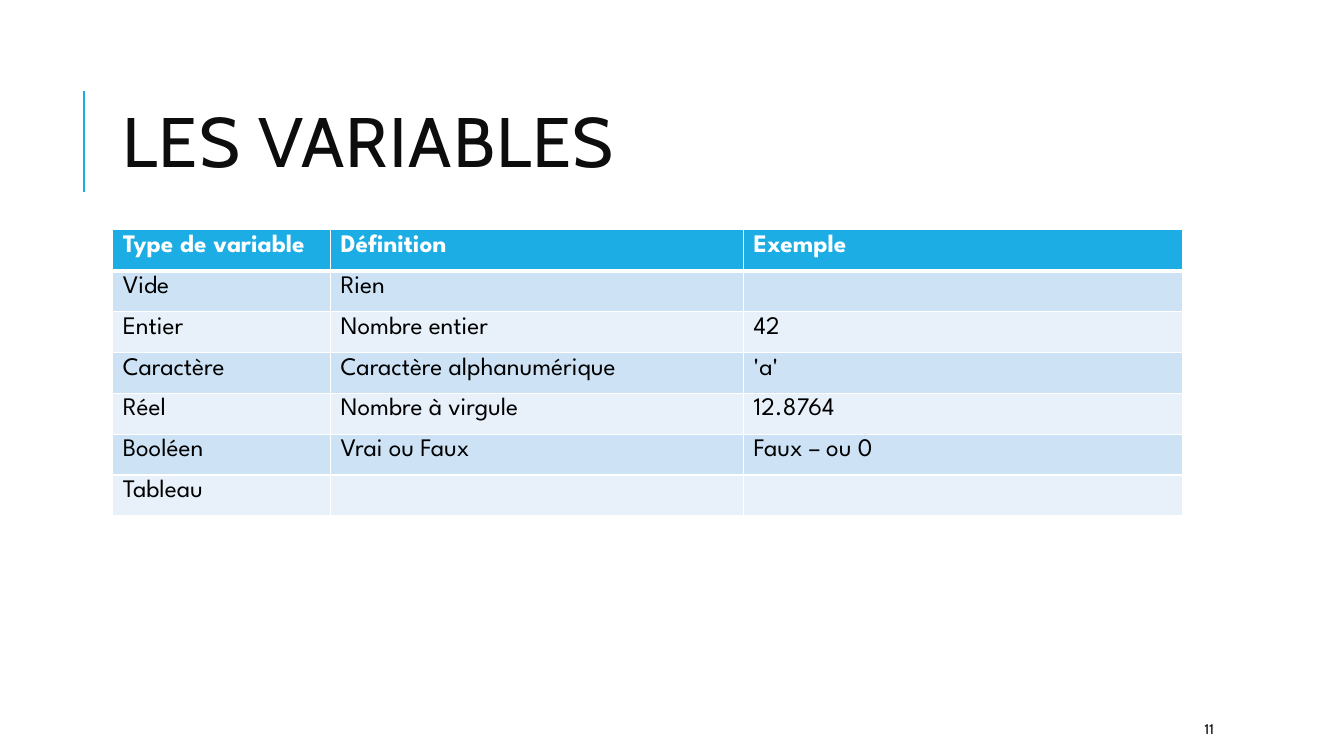
import dataclasses

import lxml.etree
import pptx
import pptx.dml.color
import pptx.enum.shapes
import pptx.enum.text
import pptx.oxml.ns
import pptx.util

Cm = pptx.util.Cm
Pt = pptx.util.Pt


@dataclasses.dataclass(frozen=True)
class Theme:
    """Colours, fonts and type sizes of the slide."""
    accent: str = "1CADE4"
    bands: tuple = ("CDE3F5", "E8F1FA")
    white: str = "FFFFFF"
    black: str = "000000"
    ink: str = "0D0D0D"
    heading_font: str = "Cabin"
    body_font: str = "League Spartan"
    title_size: int = 50
    body_size: int = 18
    number_size: int = 10


THEME = Theme()
TABLE_LEFT = 2.84
COLUMN_WIDTHS = (5.49, 10.41, 11.07)
ROW_HEIGHT = 1.03
ROWS = (
    ("Type de variable", "Définition", "Exemple"),
    ("Vide", "Rien", ""),
    ("Entier", "Nombre entier", "42"),
    ("Caractère", "Caractère alphanumérique", "'a'"),
    ("Réel", "Nombre à virgule", "12.8764"),
    ("Booléen", "Vrai ou Faux", "Faux – ou 0"),
    ("Tableau", "", ""),
)


def rgb(value):
    """Turn a hexadecimal string into a colour."""
    return pptx.dml.color.RGBColor.from_string(value)


def write_text(paragraph, text, color, **formats):
    """Add one formatted run to a paragraph and return it."""
    run = paragraph.add_run()
    run.text = text
    for name, value in formats.items():
        setattr(run.font, name, value)
    run.font.color.rgb = rgb(color)
    return run


def add_text(slide, box, text, size):
    """Add a vertically centred heading-font text box."""
    frame = slide.shapes.add_textbox(*map(Cm, box)).text_frame
    frame.word_wrap = True
    frame.vertical_anchor = pptx.enum.text.MSO_ANCHOR.MIDDLE
    paragraph = frame.paragraphs[0]
    run = write_text(paragraph, text, THEME.ink, name=THEME.heading_font, size=Pt(size))
    return paragraph, run


def add_title(slide, text):
    """Add the title with tight lines and slightly open letters."""
    paragraph, run = add_text(slide, (TABLE_LEFT, 1.63, 27, 4.17), text, THEME.title_size)
    paragraph.line_spacing = 0.8
    run.font._element.set("spc", "100")


def add_title_rule(slide):
    """Add the vertical accent line beside the title."""
    line = slide.shapes.add_connector(
        pptx.enum.shapes.MSO_CONNECTOR.STRAIGHT, Cm(2.11), Cm(4.83), Cm(2.11), Cm(2.29))
    line.line.color.rgb = rgb(THEME.accent)
    line.line.width = Pt(1.5)
    properties = line._element.spPr
    lxml.etree.SubElement(properties, pptx.oxml.ns.qn("a:effectLst"))


def set_borders(cell, widths):
    """Draw white cell borders with a width in points for each side."""
    qn = pptx.oxml.ns.qn
    properties = cell._tc.get_or_add_tcPr()
    for side, width in widths.items():
        border = lxml.etree.SubElement(properties, qn(f"a:ln{side}"), w=str(Pt(width)))
        fill = lxml.etree.SubElement(border, qn("a:solidFill"))
        lxml.etree.SubElement(fill, qn("a:srgbClr"), val=THEME.white)


def fill_cell(cell, text, row):
    """Style and write one cell according to its row."""
    header = row == 0
    set_borders(cell, {"L": 1, "R": 1, "T": 3 if row == 1 else 1, "B": 3 if header else 1})
    cell.fill.solid()
    cell.fill.fore_color.rgb = rgb(THEME.accent if header else THEME.bands[(row - 1) % 2])
    if text:
        write_text(cell.text_frame.paragraphs[0], text, THEME.white if header else THEME.black,
                   name=THEME.body_font, size=Pt(THEME.body_size), bold=header)


def add_variable_table(slide):
    """Add the table of variable types."""
    table = slide.shapes.add_table(
        len(ROWS), len(COLUMN_WIDTHS), Cm(TABLE_LEFT), Cm(5.79),
        Cm(sum(COLUMN_WIDTHS)), Cm(ROW_HEIGHT * len(ROWS))).table
    for column, width in zip(table.columns, COLUMN_WIDTHS):
        column.width = Cm(width)
    for index, texts in enumerate(ROWS):
        table.rows[index].height = Cm(ROW_HEIGHT)
        for cell, text in zip(table.rows[index].cells, texts):
            fill_cell(cell, text, index)


def main():
    """Build and save the slide."""
    presentation = pptx.Presentation()
    presentation.slide_width, presentation.slide_height = Cm(33.87), Cm(19.05)
    slide = presentation.slides.add_slide(presentation.slide_layouts[6])
    add_title_rule(slide)
    add_title(slide, "LES VARIABLES")
    add_text(slide, (30.1, 17.98, 2.69, 0.76), "11", THEME.number_size)
    add_variable_table(slide)
    presentation.save("out.pptx")


if __name__ == "__main__":
    main()
